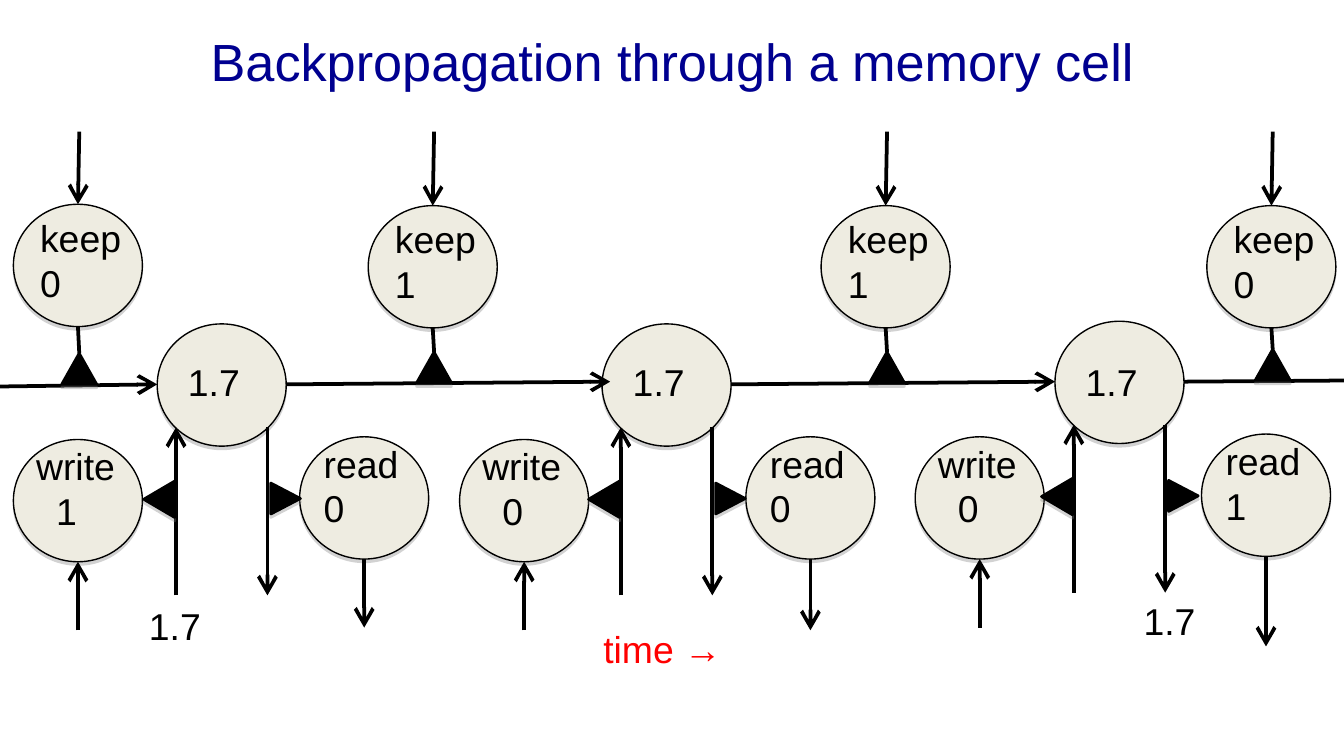
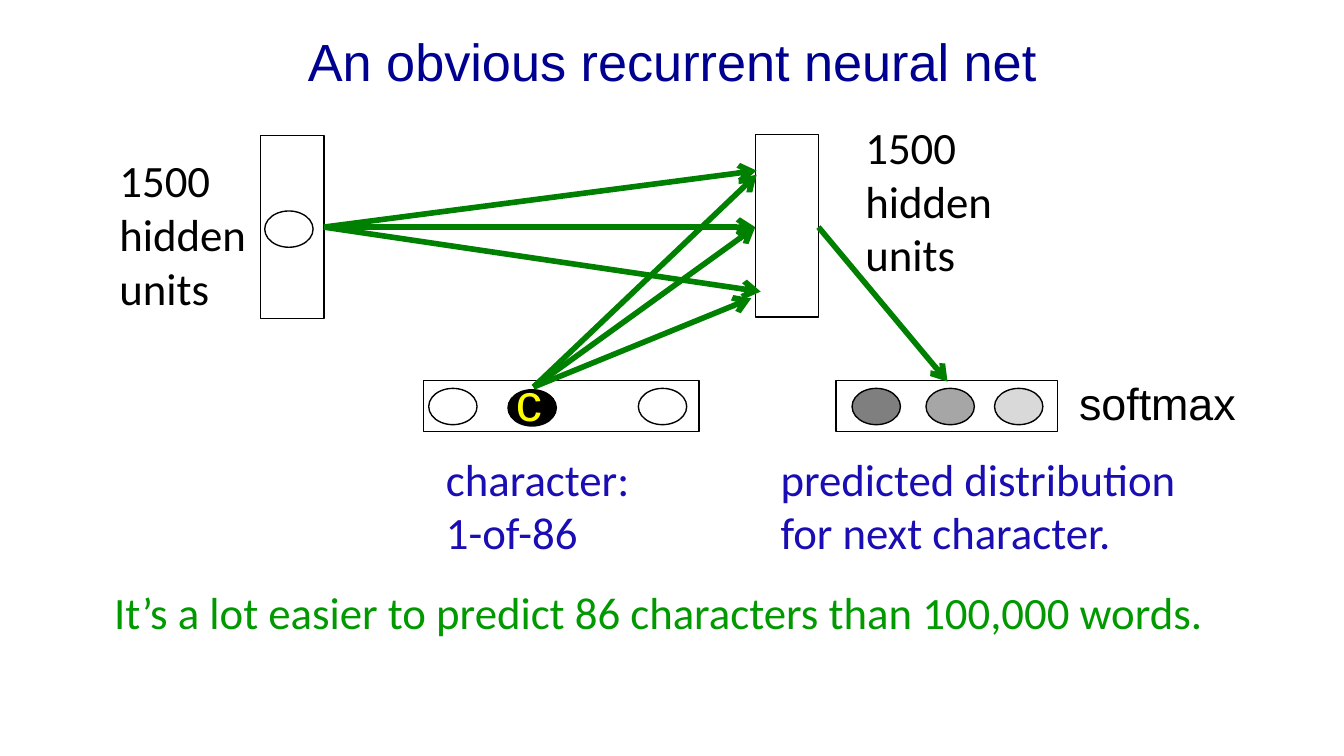
from dataclasses import dataclass

from pptx import Presentation
from pptx.dml.color import RGBColor
from pptx.enum.shapes import MSO_CONNECTOR, MSO_SHAPE
from pptx.enum.text import MSO_ANCHOR, MSO_AUTO_SIZE, PP_ALIGN
from pptx.oxml import parse_xml
from pptx.oxml.ns import nsdecls, qn
from pptx.util import Inches, Pt

STRAIGHT = MSO_CONNECTOR.STRAIGHT
OVAL, TRIANGLE, BOX = MSO_SHAPE.OVAL, MSO_SHAPE.ISOSCELES_TRIANGLE, MSO_SHAPE.RECTANGLE
MIDDLE, CENTER = MSO_ANCHOR.MIDDLE, PP_ALIGN.CENTER
GROW = MSO_AUTO_SIZE.SHAPE_TO_FIT_TEXT


@dataclass(frozen=True)
class Theme:
    heading: str = "000090"
    ink: str = "000000"
    unit: str = "EEECE1"
    time: str = "FF0000"
    weight: str = "008000"
    caption: str = "190DB3"
    remark: str = "009900"
    active: str = "FFFF00"
    sans: str = "Arial"
    body: str = "Calibri"
    title_size: int = 28
    unit_size: int = 20
    body_size: int = 24
    outline: float = 0.75
    gate_outline: float = 1.5
    wire: float = 2
    weight_line: float = 3


THEME = Theme()
SLIDE_SIZE = (10, 10 * 9 / 16)
TITLE_AT = (0.5, -0.02, 9, 0.94)

MEMORY_TITLE = "Backpropagation through a memory cell"
UNIT_W, UNIT_H = 0.96, 0.91
MEMORY_CELLS = [
    {"left": 1.17, "top": 2.41, "write": (0.10, "write 1"), "read": (2.23, "0"),
     "read_end": 4.67},
    {"left": 4.48, "top": 2.41, "write": (3.42, "write 0"), "read": (5.55, "0"),
     "read_end": 4.69},
    {"left": 7.85, "top": 2.39, "write": (6.81, "write 0"), "read": (8.94, "1"),
     "read_end": 4.81},
]
STORED_VALUE = "1.7"
KEEP_GATES = [
    (0.10, 1.52, 2.63, "keep 0"),
    (2.74, 1.53, 2.62, "keep 1"),
    (6.11, 1.53, 2.62, "keep 1"),
    (8.98, 1.53, 2.60, "keep 0"),
]
MEMORY_WIRES = [
    (-0.3, 2.88, 1.17, 2.86),
    (2.13, 2.86, 4.54, 2.84),
    (5.44, 2.86, 7.85, 2.84),
    (8.81, 2.84, 10.18, 2.83),
]
OUTER_VALUES = [(1.01, 4.44), (8.41, 4.40)]
TIME_LABEL = ("time →", (4.39, 4.61, 1.92, 0.44))

NET_TITLE = "An obvious recurrent neural net"
LAYERS = [
    (1.94, 1.01, 0.47, 1.36),
    (5.62, 1.00, 0.47, 1.36),
    (3.15, 2.83, 2.05, 0.38),
    (6.22, 2.83, 1.65, 0.38),
]
NODE_W, NODE_H = 0.36, 0.27
NODES = [
    (1.97, 1.57, None),
    (3.19, 2.89, None),
    (3.78, 2.90, THEME.ink),
    (4.75, 2.89, None),
    (6.34, 2.89, "7F7F7F"),
    (6.89, 2.89, "A6A6A6"),
    (7.40, 2.89, "D9D9D9"),
]
WEIGHTS = {
    (2.41, 1.69): [(5.63, 1.27), (5.62, 1.69), (5.66, 2.17)],
    (3.97, 2.88): [(5.63, 1.30), (5.62, 1.69), (5.59, 2.22)],
    (6.09, 1.69): [(7.05, 2.84)],
}
BODY_STYLE = {"name": THEME.body, "size": THEME.body_size}
NET_LABELS = [
    (["1500 hidden units"], (0.79, 1.09, 1.48, 1.3), {**BODY_STYLE, "color": THEME.ink}),
    (["1500 hidden units"], (6.34, 0.84, 1.48, 1.3), {**BODY_STYLE, "color": THEME.ink}),
    (["character: 1-of-86"], (3.22, 3.31, 1.66, 0.9), {**BODY_STYLE, "color": THEME.caption}),
    (["predicted distribution", "for next character."], (5.71, 3.31, 3.27, 0.9),
     {**BODY_STYLE, "color": THEME.caption}),
    (["It’s a lot easier to predict 86 characters than 100,000 words."],
     (0.75, 4.3, 9.18, 0.5), {**BODY_STYLE, "color": THEME.remark}),
    (["c"], (3.74, 2.7, 0.83, 0.57),
     {"name": THEME.sans, "size": THEME.title_size, "color": THEME.active}),
    (["softmax"], (7.93, 2.75, 1.52, 0.5),
     {"name": THEME.sans, "size": THEME.body_size, "color": THEME.ink}),
]
UNIT_STYLE = {"name": THEME.sans, "size": THEME.unit_size, "color": THEME.ink}


def assign(target, values):
    for attribute, value in values.items():
        setattr(target, attribute, value)


def style_font(font, style):
    assign(font, {"name": style["name"], "size": Pt(style["size"])})
    font.color.rgb = RGBColor.from_string(style["color"])


def style_line(line, color, width):
    line.color.rgb = RGBColor.from_string(color)
    line.width = Pt(width)


def inches(place):
    return [Inches(length) for length in place]


def add_titled_slide(deck, wording):
    slide = deck.slides.add_slide(deck.slide_layouts[5])
    title = slide.shapes.title
    assign(title, dict(zip(("left", "top", "width", "height"), inches(TITLE_AT))))
    title.text_frame.vertical_anchor = MIDDLE
    paragraph = title.text_frame.paragraphs[0]
    paragraph.alignment = CENTER
    run = paragraph.add_run()
    run.text = wording
    style_font(run.font, {"name": THEME.sans, "size": THEME.title_size, "color": THEME.heading})
    return slide


def add_label(slide, lines, place, style=UNIT_STYLE, hanging=0):
    frame = slide.shapes.add_textbox(*inches(place)).text_frame
    assign(frame, {"word_wrap": True, "auto_size": GROW})
    for index, wording in enumerate(lines):
        paragraph = frame.add_paragraph() if index else frame.paragraphs[0]
        run = paragraph.add_run()
        run.text = wording
        style_font(run.font, style)
        if hanging:
            properties = paragraph._p.get_or_add_pPr()
            properties.set("marL", str(Inches(hanging)))
            properties.set("indent", str(-Inches(hanging)))


def add_figure(slide, preset, place, fill=None, outline=THEME.outline, rotation=0, shadow=False):
    figure = slide.shapes.add_shape(preset, *inches(place))
    figure.rotation = rotation
    if fill:
        figure.fill.solid()
        figure.fill.fore_color.rgb = RGBColor.from_string(fill)
    else:
        figure.fill.background()
    style_line(figure.line, THEME.ink, outline)
    figure.shadow.inherit = False
    if shadow:
        figure._element.spPr.find(qn("a:effectLst")).append(parse_xml(
            f'<a:outerShdw {nsdecls("a")} blurRad="0" dist="22860" dir="5400000" rotWithShape="0">'
            '<a:srgbClr val="808080"><a:alpha val="35000"/></a:srgbClr></a:outerShdw>'))


def add_wire(slide, ends, color=THEME.ink, width=THEME.wire, head="lg"):
    wire = slide.shapes.add_connector(STRAIGHT, *inches(ends))
    style_line(wire.line, color, width)
    properties = wire._element.spPr
    if head:
        properties.find(qn("a:ln")).append(parse_xml(
            f'<a:tailEnd {nsdecls("a")} type="arrow" w="{head}" len="{head}"/>'))
    properties.append(parse_xml(f'<a:effectLst {nsdecls("a")}/>'))


def add_unit(slide, left, top):
    add_figure(slide, OVAL, (left, top, UNIT_W, UNIT_H), THEME.unit, shadow=True)


def add_gate(slide, place, rotation=0):
    add_figure(slide, TRIANGLE, place, THEME.ink, THEME.gate_outline, rotation, True)


def draw_memory_cell(slide, cell):
    left, top = cell["left"], cell["top"]
    write_left, write_label = cell["write"]
    read_left, read_value = cell["read"]
    write_top, read_top = top + 0.86, top + 0.84
    input_x, output_x = left + 0.14, left + 0.82
    write_x, read_x = write_left + UNIT_W / 2, read_left + UNIT_W / 2

    add_unit(slide, left, top)
    add_wire(slide, (input_x, top + 2.02, input_x, top + 0.77))
    add_wire(slide, (output_x, top + 0.77, output_x, top + 2.02))
    add_unit(slide, read_left, read_top)
    add_unit(slide, write_left, write_top)
    add_label(slide, ["read", read_value], (read_left + 0.08, read_top - 0.02, 1.12, 0.77))
    add_label(slide, [write_label], (write_left + 0.07, write_top - 0.02, 0.8, 0.77),
              hanging=0.15)
    add_gate(slide, (left + 0.84, top + 1.19, 0.23, 0.22), 90)
    add_gate(slide, (left - 0.12, top + 1.19, 0.27, 0.23), 270)
    add_label(slide, [STORED_VALUE], (left + 0.13, 2.62, 0.77, 0.44))
    add_wire(slide, (write_x, top + 2.28, write_x, write_top + UNIT_H))
    add_wire(slide, (read_x, read_top + UNIT_H, read_x, cell["read_end"]))


def draw_keep_gate(slide, left, top, gate_top, wording):
    center = left + UNIT_W / 2
    add_unit(slide, left, top)
    add_label(slide, [wording], (left + 0.1, top + 0.03, 0.87, 0.77))
    add_gate(slide, (left + 0.36, gate_top, 0.26, 0.23))
    add_wire(slide, (center + 0.01, gate_top, center, top + UNIT_H), head=None)
    add_wire(slide, (center + 0.01, 0.98, center, top))


def build_memory_slide(deck):
    slide = add_titled_slide(deck, MEMORY_TITLE)
    for cell in MEMORY_CELLS:
        draw_memory_cell(slide, cell)
    for ends in MEMORY_WIRES:
        add_wire(slide, ends)
    for gate in KEEP_GATES:
        draw_keep_gate(slide, *gate)
    for left, top in OUTER_VALUES:
        add_label(slide, [STORED_VALUE], (left, top, 1.02, 0.44))
    wording, place = TIME_LABEL
    add_label(slide, [wording], place, {**UNIT_STYLE, "color": THEME.time})


def build_net_slide(deck):
    slide = add_titled_slide(deck, NET_TITLE)
    for layer in LAYERS:
        add_figure(slide, BOX, layer)
    for left, top, fill in NODES:
        add_figure(slide, OVAL, (left, top, NODE_W, NODE_H), fill)
    for source, targets in WEIGHTS.items():
        for target in targets:
            add_wire(slide, source + target, THEME.weight, THEME.weight_line, "med")
    for lines, place, style in NET_LABELS:
        add_label(slide, lines, place, style)


def main():
    deck = Presentation()
    assign(deck, dict(zip(("slide_width", "slide_height"), inches(SLIDE_SIZE))))
    build_memory_slide(deck)
    build_net_slide(deck)
    deck.save("out.pptx")


if __name__ == "__main__":
    main()
